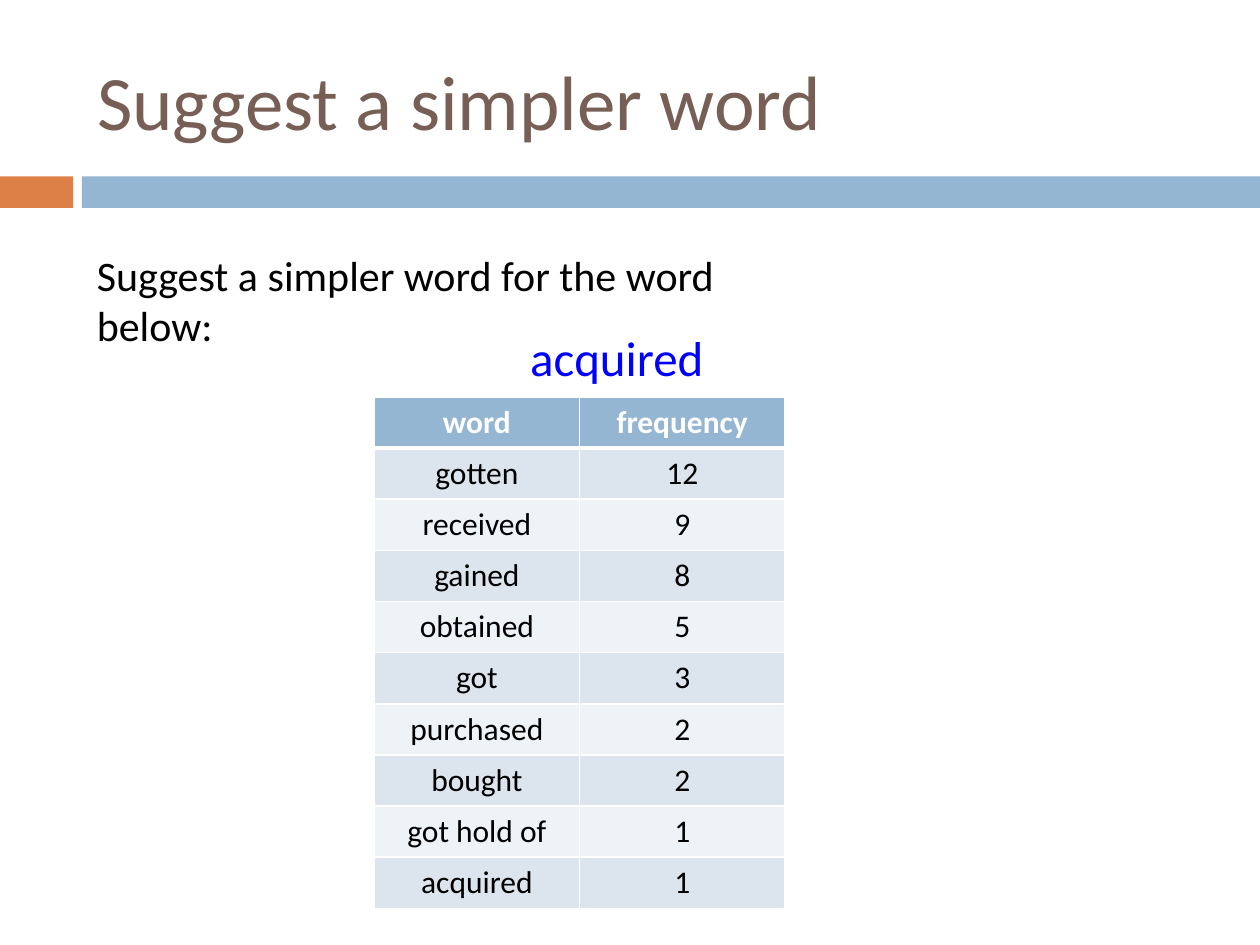
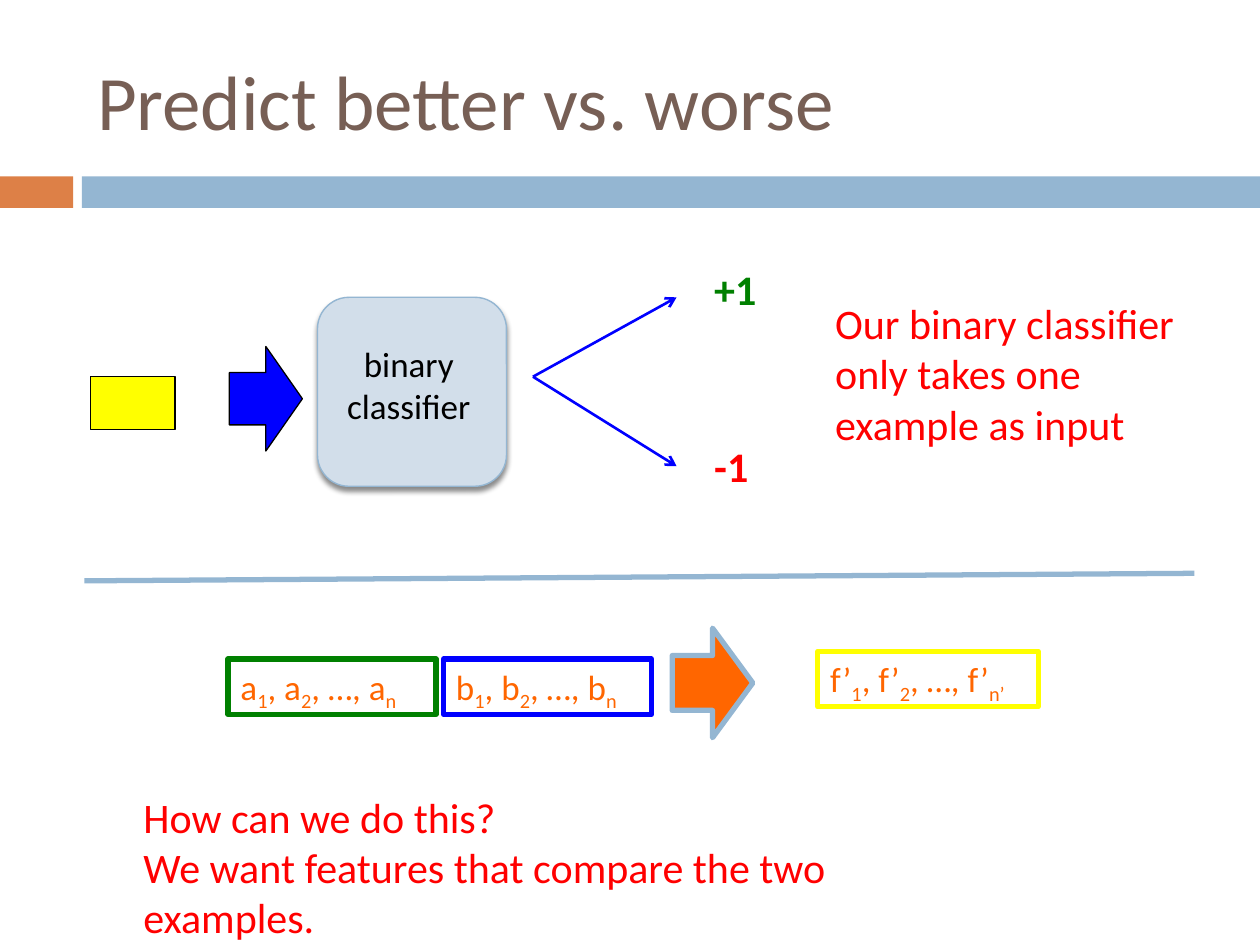
import pptx
import pptx.util
import pptx.dml.color
import pptx.enum.shapes
import pptx.enum.text
import pptx.oxml
import pptx.oxml.ns
from dataclasses import dataclass
from lxml import etree

Inches = pptx.util.Inches
Pt = pptx.util.Pt
SHAPE = pptx.enum.shapes.MSO_SHAPE
ALIGN = pptx.enum.text.PP_ALIGN
ANCHOR = pptx.enum.text.MSO_ANCHOR
qn = pptx.oxml.ns.qn


@dataclass(frozen=True)
class Theme:
    font: str = "Calibri"
    title: str = "775F55"
    accent: str = "DD8047"
    band: str = "94B6D2"
    panel: str = "D2DEEA"
    odd_row: str = "DCE5EE"
    even_row: str = "EEF3F7"
    black: str = "000000"
    white: str = "FFFFFF"
    blue: str = "0000FF"
    green: str = "008000"
    red: str = "FF0000"
    yellow: str = "FFFF00"
    orange: str = "FF6600"
    title_size: int = 44
    word_size: int = 28
    body_size: int = 24
    label_size: int = 20
    table_size: int = 18


THEME = Theme()

# Content
BANDS = [((0, 1.4, 0.58, 0.25), THEME.accent), ((0.65, 1.4, 9.35, 0.25), THEME.band)]
TITLE_AREA = (0.67, 0.25, 8.92, 1.08)

SIMPLER_TITLE = "Suggest a simpler word"
PROMPT = "Suggest a simpler word for the word below:"
TARGET_WORD = "acquired"
SUGGESTIONS = [
    ("word", "frequency"),
    ("gotten", "12"),
    ("received", "9"),
    ("gained", "8"),
    ("obtained", "5"),
    ("got", "3"),
    ("purchased", "2"),
    ("bought", "2"),
    ("got hold of", "1"),
    ("acquired", "1"),
]

PREDICT_TITLE = "Predict better vs. worse"
OUTCOMES = [  # label, label top, arrow end height, colour
    ("+1", 2.04, 2.36, THEME.green),
    ("-1", 3.45, 3.7, THEME.red),
]
LIMITATION = "Our binary classifier only takes one example as input"
FEATURE_VECTORS = [  # symbol, last index, area, frame colour
    ("a", "n", (1.81, 5.23, 1.65, 0.44), THEME.green),
    ("b", "n", (3.52, 5.23, 1.65, 0.44), THEME.blue),
    ("f’", "n’", (6.49, 5.17, 1.75, 0.44), THEME.yellow),
]
QUESTION = ["How can we do this?", "We want features that compare the two examples."]


def rgb(color):
    return pptx.dml.color.RGBColor.from_string(color)


def inches(area):
    return [Inches(length) for length in area]


def add_run(paragraph, text, size, color, bold=False, subscript=False):
    run = paragraph.add_run()
    run.text = text
    run.font.name = THEME.font
    run.font.size = Pt(size)
    run.font.bold = bold
    run.font.color.rgb = rgb(color)
    if subscript:
        run.font._element.set("baseline", "-25000")


def add_text(shapes, area, lines, size, color, bold=False, align=ALIGN.LEFT):
    """Add a wrapping text box with one paragraph per line."""
    box = shapes.add_textbox(*inches(area))
    frame = box.text_frame
    frame.word_wrap = True
    for index, line in enumerate(lines):
        paragraph = frame.add_paragraph() if index else frame.paragraphs[0]
        paragraph.alignment = align
        add_run(paragraph, line, size, color, bold)
    return box


def set_outline(shape, color, width):
    shape.line.color.rgb = rgb(color)
    shape.line.width = Pt(width)


def add_filled(shapes, kind, area, fill, outline=None, width=0.75):
    shape = shapes.add_shape(kind, *inches(area))
    shape.shadow.inherit = False
    shape.fill.solid()
    shape.fill.fore_color.rgb = rgb(fill)
    if outline:
        set_outline(shape, outline, width)
    else:
        shape.line.fill.background()
    return shape


def add_line(shapes, start, end, color, width, arrow=False):
    line = shapes.add_connector(
        pptx.enum.shapes.MSO_CONNECTOR.STRAIGHT, *inches(start + end))
    set_outline(line, color, width)
    properties = line._element.spPr
    if arrow:
        etree.SubElement(properties.find(qn("a:ln")), qn("a:tailEnd"), type="arrow")
    etree.SubElement(properties, qn("a:effectLst"))


def add_drop_shadow(shape):
    effects = shape._element.spPr.find(qn("a:effectLst"))
    shadow = etree.SubElement(
        effects, qn("a:outerShdw"), blurRad=str(Pt(3)), dist=str(Pt(2.4)),
        dir="5400000", rotWithShape="0")
    color = etree.SubElement(shadow, qn("a:srgbClr"), val=THEME.black)
    etree.SubElement(color, qn("a:alpha"), val="45000")


def set_borders(cell, top, bottom):
    properties = cell._tc.get_or_add_tcPr()
    for side, width in (("L", 1), ("R", 1), ("T", top), ("B", bottom)):
        border = etree.SubElement(properties, qn(f"a:ln{side}"), w=str(Pt(width)))
        fill = etree.SubElement(border, qn("a:solidFill"))
        etree.SubElement(fill, qn("a:srgbClr"), val=THEME.white)


def add_titled_slide(deck, title_text):
    slide = deck.slides.add_slide(deck.slide_layouts.get_by_name("Title Only"))
    for area, color in BANDS:
        add_filled(slide.shapes, SHAPE.RECTANGLE, area, color)
    title = slide.shapes.title
    title.left, title.top, title.width, title.height = inches(TITLE_AREA)
    title.text_frame.vertical_anchor = ANCHOR.MIDDLE
    paragraph = title.text_frame.paragraphs[0]
    paragraph.alignment = ALIGN.LEFT
    add_run(paragraph, title_text, THEME.title_size, THEME.title)
    return slide


def add_suggestion_table(shapes):
    row_height, column_width = 0.406, 1.63
    row_count, column_count = len(SUGGESTIONS), len(SUGGESTIONS[0])
    table = shapes.add_table(row_count, column_count, *inches(
        (2.97, 3.15, column_count * column_width, row_count * row_height))).table
    for row, values in enumerate(SUGGESTIONS):
        header = row == 0
        fill = THEME.band if header else (THEME.odd_row if row % 2 else THEME.even_row)
        for column, value in enumerate(values):
            cell = table.cell(row, column)
            set_borders(cell, top=3 if row == 1 else 1, bottom=3 if header else 1)
            cell.fill.solid()
            cell.fill.fore_color.rgb = rgb(fill)
            paragraph = cell.text_frame.paragraphs[0]
            paragraph.alignment = ALIGN.CENTER
            add_run(paragraph, value, THEME.table_size,
                    THEME.white if header else THEME.black, bold=header)


def add_feature_vector(shapes, symbol, last_index, area, frame_color):
    """Add a framed vector such as a1, a2, …, an with subscript indices."""
    box = add_text(shapes, area, [], THEME.label_size, THEME.orange)
    set_outline(box, frame_color, 3)
    paragraph = box.text_frame.paragraphs[0]
    for lead, index in (("", "1"), (", ", "2"), (", …, ", last_index)):
        add_run(paragraph, lead + symbol, THEME.label_size, THEME.orange)
        add_run(paragraph, index, THEME.label_size, THEME.orange, subscript=True)


def add_classifier(shapes):
    add_filled(shapes, SHAPE.RECTANGLE, (0.72, 2.99, 0.67, 0.42), THEME.yellow, THEME.black)
    add_filled(shapes, SHAPE.RIGHT_ARROW, (1.82, 2.75, 0.58, 0.83), THEME.blue, THEME.black)
    classifier = shapes.add_group_shape().shapes
    panel = add_filled(classifier, SHAPE.ROUNDED_RECTANGLE, (2.52, 2.36, 1.5, 1.5),
                       THEME.panel, THEME.band, 0.79)
    add_drop_shadow(panel)
    add_text(classifier, (2.46, 2.67, 1.57, 0.77), ["binary classifier"],
             THEME.label_size, THEME.black, align=ALIGN.CENTER)
    for label, label_top, arrow_end, color in OUTCOMES:
        add_line(shapes, (4.23, 2.99), (5.37, arrow_end), THEME.blue, 1.5, arrow=True)
        add_text(shapes, (5.57, label_top, 0.61, 0.5), [label],
                 THEME.body_size, color, bold=True)


def build_simpler_word(deck):
    shapes = add_titled_slide(deck, SIMPLER_TITLE).shapes
    add_text(shapes, (0.67, 1.93, 6.0, 0.5), [PROMPT], THEME.body_size, THEME.black)
    add_text(shapes, (4.11, 2.55, 1.7, 0.57), [TARGET_WORD], THEME.word_size, THEME.blue)
    add_suggestion_table(shapes)


def build_prediction(deck):
    shapes = add_titled_slide(deck, PREDICT_TITLE).shapes
    add_classifier(shapes)
    add_text(shapes, (6.53, 2.31, 3.17, 1.31), [LIMITATION], THEME.body_size, THEME.red)
    for vector in FEATURE_VECTORS:
        add_feature_vector(shapes, *vector)
    combine_arrow = add_filled(shapes, SHAPE.DOWN_ARROW, (5.22, 5.1, 0.87, 0.64),
                               THEME.orange, THEME.band, 3)
    combine_arrow.rotation = 270
    add_text(shapes, (1.04, 6.23, 6.9, 0.91), QUESTION, THEME.body_size, THEME.red)
    add_line(shapes, (0.67, 4.61), (9.48, 4.55), THEME.band, 3)


def main():
    deck = pptx.Presentation()
    deck.slide_width, deck.slide_height = Inches(10), Inches(7.5)
    build_simpler_word(deck)
    build_prediction(deck)
    deck.save("out.pptx")


if __name__ == "__main__":
    main()
